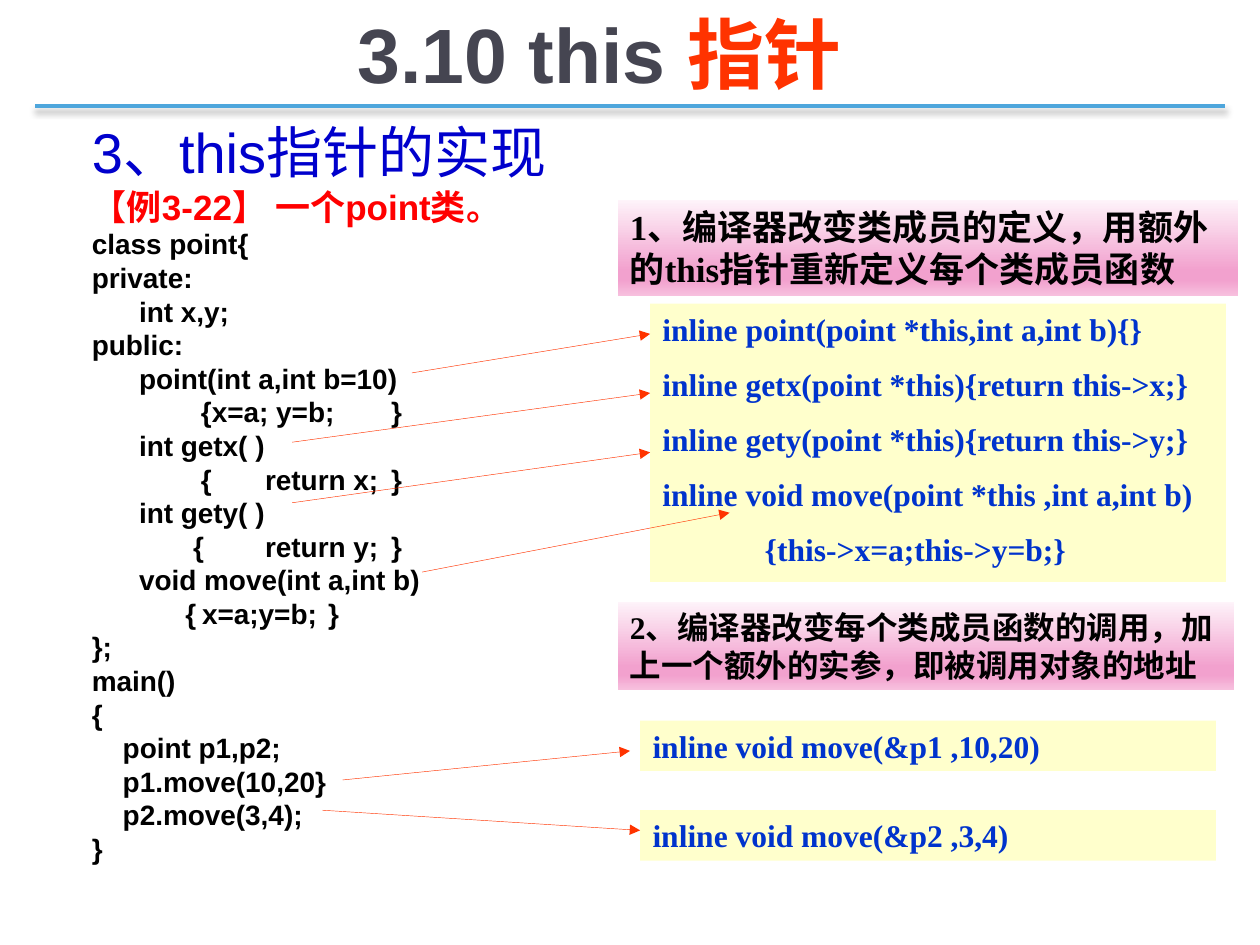
from lxml import etree
from pptx import Presentation
from pptx.dml.color import RGBColor
from pptx.enum.shapes import MSO_CONNECTOR as Connector, MSO_SHAPE as Shape
from pptx.enum.text import MSO_ANCHOR as Anchor, PP_ALIGN as Align
from pptx.oxml import parse_xml
from pptx.oxml.ns import nsdecls, qn
from pptx.util import Pt

BLACK = RGBColor(0, 0, 0)
WHITE = RGBColor(0xFF, 0xFF, 0xFF)
SLATE = RGBColor(0x45, 0x45, 0x51)
ORANGE = RGBColor(0xFF, 0x33, 0x00)
RED = RGBColor(0xFF, 0, 0)
NAVY = RGBColor(0, 0, 0xCC)
BLUE = RGBColor(0, 0x33, 0xCC)
SKY = RGBColor(0x4E, 0xA6, 0xDC)
CREAM = RGBColor(0xFF, 0xFF, 0xCC)
PINK_STOPS = [(0, "FEF4FA"), (74, "F2A1CE"), (83, "F2A1CE"), (100, "F7C0DE")]
SANS, SERIF = "Arial", "Times New Roman"

# Content
TITLE = [("3.10 this ", SLATE), ("指针", ORANGE)]
HEADING = "3、this指针的实现"
EXAMPLE = "【例3-22】 一个point类。"
CODE = [
    "class point{",
    "private:",
    "\tint x,y;",
    "public:",
    "\tpoint(int a,int b=10)",
    "\t        {x=a; y=b;\t}",
    "\tint getx( )",
    "\t        {\treturn x;\t}",
    "\tint gety( )",
    "\t       {\treturn y;\t}",
    "\tvoid move(int a,int b)",
    "\t      {\tx=a;y=b;\t}",
    "};",
    "main()",
    "{",
    "    point p1,p2;",
    "    p1.move(10,20}",
    "    p2.move(3,4);",
    "}",
]
# (left, top, width, height), text size, text
NOTES = [
    ((352.8, 113.8, 355, 55.4), 20,
     "1、编译器改变类成员的定义，用额外的this指针重新定义每个类成员函数"),
    ((352.8, 343.4, 352.8, 51), 18,
     "2、编译器改变每个类成员函数的调用，加上一个额外的实参，即被调用对象的地址"),
]
# (left, top, width, height), code lines
REWRITES = [
    ((371.5, 173.5, 329, 159), [
        "inline point(point *this,int a,int b){}",
        "inline getx(point *this){return this->x;}",
        "inline gety(point *this){return this->y;}",
        "inline void move(point *this ,int a,int b)",
        "             {this->x=a;this->y=b;}",
    ]),
    ((365.8, 411.8, 329, 28.8), ["inline void move(&p1 ,10,20)"]),
    ((365.8, 463, 329, 28.8), ["inline void move(&p2 ,3,4)"]),
]
# (from x, from y, to x, to y)
ARROWS = [
    (235.4, 213.1, 371.5, 190.8),
    (167, 252.7, 371.5, 224.6),
    (167, 287.3, 371.5, 258.5),
    (241.2, 326.9, 416.9, 293),
    (195.8, 445.7, 360, 429.1),
    (184.3, 463, 365.8, 474.5),
]

deck = Presentation()
deck.slide_width, deck.slide_height = Pt(720), Pt(540)
page = deck.slides.add_slide(deck.slide_layouts[6])


def add_span(para, text, size, color, font, bold=True):
    span = para.add_run()
    span.text = text
    span.font.size, span.font.name, span.font.bold = Pt(size), font, bold
    span.font.color.rgb = color


def set_frame(box, anchor):
    frame = box.text_frame
    frame.word_wrap = True
    frame.vertical_anchor = anchor
    return frame


def next_para(frame, index, gap):
    if index == 0:
        return frame.paragraphs[0]
    para = frame.add_paragraph()
    para.space_before = Pt(gap)
    return para


def add_panel(place, anchor):
    panel = page.shapes.add_shape(Shape.RECTANGLE, *map(Pt, place))
    panel.shadow.inherit = False
    return panel, set_frame(panel, anchor)


def add_line(ends, color, width):
    line = page.shapes.add_connector(Connector.STRAIGHT, *map(Pt, ends))
    line.line.color.rgb, line.line.width = color, Pt(width)
    effects = etree.SubElement(line._element.spPr, qn("a:effectLst"))
    return line, effects


# Title and the rule under it
_, effects = add_line((20.2, 60.5, 699.8, 60.5), SKY, 2.25)
effects.append(parse_xml(
    f'<a:outerShdw {nsdecls("a")} blurRad="{Pt(4)}" dist="{Pt(2.5)}" dir="5400000"'
    ' rotWithShape="0"><a:srgbClr val="000000"><a:alpha val="47000"/></a:srgbClr>'
    '</a:outerShdw>'))
box = page.shapes.add_textbox(*map(Pt, (36.7, 3.6, 612, 52.6)))
para = set_frame(box, Anchor.MIDDLE).paragraphs[0]
para.alignment = Align.CENTER
for text, color in TITLE:
    add_span(para, text, 44, color, SANS)

# Class listing on the left
box = page.shapes.add_textbox(*map(Pt, (45.4, 71.3, 300.2, 447.8)))
frame = set_frame(box, Anchor.TOP)
listing = [(HEADING, 32, NAVY, False), (EXAMPLE, 20, RED, True)]
listing += [(line, 16, BLACK, True) for line in CODE]
for index, (text, size, color, bold) in enumerate(listing):
    para = next_para(frame, index, round(size * 0.24, 2))
    para.line_spacing = 0.8
    layout = para._p.get_or_add_pPr()
    layout.set("marL", str(Pt(27)))
    layout.set("indent", str(-Pt(27)))
    add_span(para, text, size, color, SANS, bold)

# Pink explanations
for place, size, text in NOTES:
    panel, frame = add_panel(place, Anchor.MIDDLE)
    stops = "".join(f'<a:gs pos="{pos * 1000}"><a:srgbClr val="{color}"/></a:gs>'
                    for pos, color in PINK_STOPS)
    panel._element.spPr.find(qn("a:prstGeom")).addnext(parse_xml(
        f'<a:gradFill {nsdecls("a")} rotWithShape="1"><a:gsLst>{stops}</a:gsLst>'
        '<a:lin ang="5400000" scaled="1"/></a:gradFill>'))
    panel.line.color.rgb, panel.line.width = WHITE, Pt(0.25)
    para = frame.paragraphs[0]
    para.alignment = Align.LEFT
    add_span(para, text, size, BLACK, SERIF)

# Rewritten code
for place, lines in REWRITES:
    panel, frame = add_panel(place, Anchor.TOP)
    panel.fill.solid()
    panel.fill.fore_color.rgb = CREAM
    panel.line.fill.background()
    for index, text in enumerate(lines):
        para = next_para(frame, index, 9.9)
        para.alignment = Align.LEFT
        add_span(para, text, 18, BLUE, SERIF)

# Arrows from each member to its rewritten form
for ends in ARROWS:
    arrow, _ = add_line(ends, ORANGE, 0.25)
    etree.SubElement(arrow.line._get_or_add_ln(), qn("a:tailEnd"), type="triangle")

deck.save("out.pptx")
